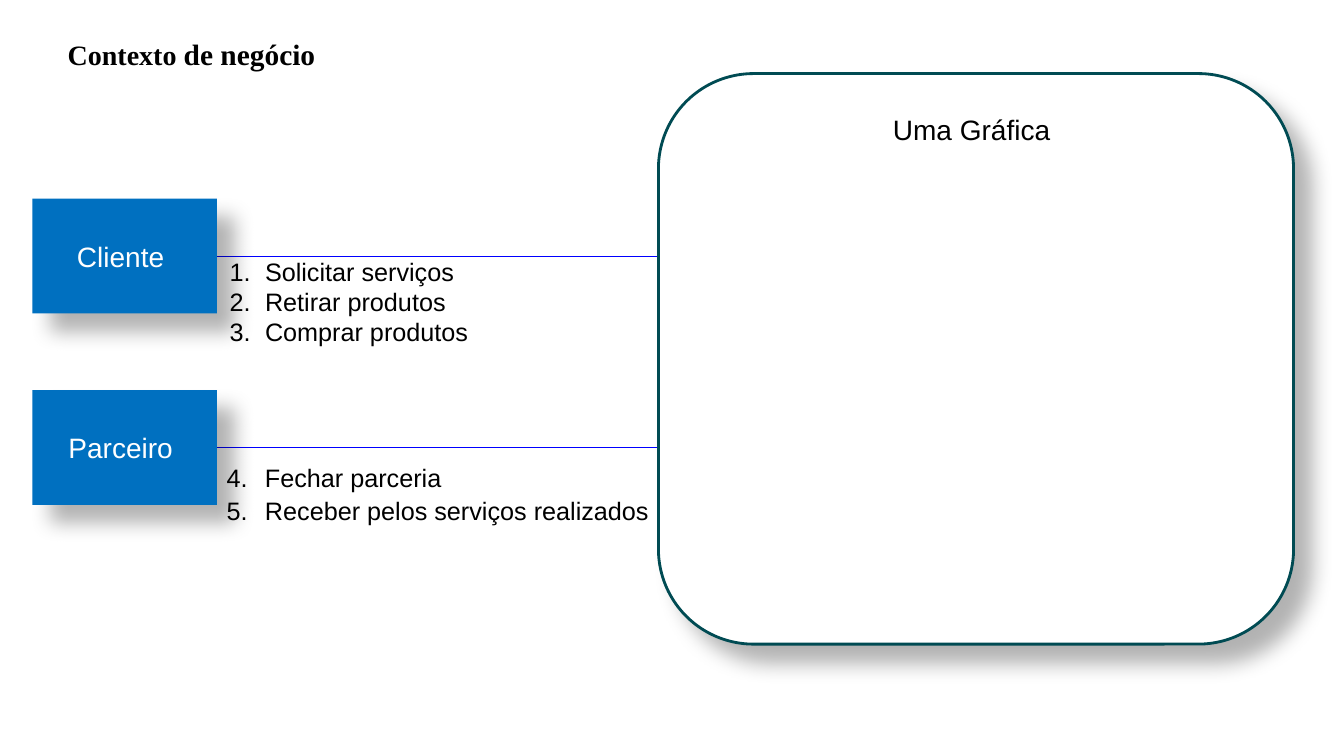
from lxml.etree import SubElement
from pptx import Presentation
from pptx.dml.color import RGBColor
from pptx.enum.shapes import MSO_CONNECTOR as Connector, MSO_SHAPE as Shape
from pptx.enum.text import MSO_ANCHOR as Anchor, MSO_AUTO_SIZE as AutoSize, PP_ALIGN as Align
from pptx.oxml.ns import qn
from pptx.util import Inches, Pt

# Content: places are left, top, width, height in percent of the slide
TITLE = [("Contexto ", 20), ("de negócio", 21)]
TITLE_PLACE = (4.28, 3.47, 21.08, 8.13)
SYSTEM = "Uma Gráfica "
SYSTEM_PLACE = (48.99, 9.73, 47.26, 75.47)
SYSTEM_LABEL_PLACE = (65.49, 14.27, 14.18, 5.87)
ACTORS = [
    dict(name="Cliente ", start=1, place=(15.23, 32.53, 31.13, 13.47),
         margin=0.1, indent=(0.5, -0.35), spacing=1.0,
         uses=["Solicitar serviços", "Retirar produtos", "Comprar produtos"]),
    dict(name="Parceiro ", start=4, place=(16.13, 60.27, 33.08, 9.73),
         margin=0.05, indent=(0.38, -0.38), spacing=1.07,
         uses=["Fechar parceria", "Receber pelos serviços realizados"]),
]
ACTOR_PLACE = (2.4, 26.27, 13.73, 15.2)
ACTOR_PITCH = 25.33
COLORS = dict(text="000000", actor="0070C0", actor_text="FFFFFF", link="0000FF",
              system="FFFFFF", border="004B53", shadow="000000")

deck = Presentation()
deck.slide_width, deck.slide_height = Inches(13.33), Inches(7.5)
slide = deck.slides.add_slide(deck.slide_layouts[5])
shapes = slide.shapes


def color(key):
    return RGBColor.from_string(COLORS[key])


def scaled(place):
    sides = (deck.slide_width, deck.slide_height) * 2
    return [round(share * side / 100) for share, side in zip(place, sides)]


def number(paragraph, start, indent):
    props = paragraph._p.get_or_add_pPr()
    left, hanging = indent
    props.set("marL", str(Inches(left)))
    props.set("indent", str(Inches(hanging)))
    SubElement(props, qn("a:buFont"), typeface="+mj-lt")
    SubElement(props, qn("a:buAutoNum"), type="arabicPeriod", startAt=str(start))


def write(holder, paragraphs, font="Arial", ink="text", bold=False, align=Align.LEFT,
          anchor=Anchor.TOP, margin=0.1, spacing=None, start=None, indent=None):
    """Each paragraph is a list of (text, size) runs."""
    frame = holder.text_frame
    frame.word_wrap = True
    frame.auto_size = AutoSize.NONE
    frame.vertical_anchor = anchor
    frame.margin_left = frame.margin_right = Inches(0.1)
    frame.margin_top = frame.margin_bottom = Inches(margin)
    for i, runs in enumerate(paragraphs):
        paragraph = frame.add_paragraph() if i else frame.paragraphs[0]
        paragraph.alignment = align
        if spacing:
            paragraph.line_spacing = spacing
        if start:
            number(paragraph, start, indent)
        for text, size in runs:
            run = paragraph.add_run()
            run.text = text
            run.font.name, run.font.size, run.font.bold = font, Pt(size), bold
            run.font.color.rgb = color(ink)


def add_box(kind, place, fill, border=None):
    box = shapes.add_shape(kind, *scaled(place))
    box.fill.solid()
    box.fill.fore_color.rgb = color(fill)
    if border:
        box.line.color.rgb = color(border)
        box.line.width = Pt(2)
    else:
        box.line.fill.background()
    box.shadow.inherit = False
    effects = box._element.spPr.find(qn("a:effectLst"))
    shadow = SubElement(effects, qn("a:outerShdw"), blurRad=str(Pt(15)), dist=str(Pt(18)),
                        dir=str(45 * 60000), algn="tl", rotWithShape="0")
    tint = SubElement(shadow, qn("a:srgbClr"), val=COLORS["shadow"])
    SubElement(tint, qn("a:alpha"), val="30000")
    return box


def add_link(x1, x2, y):
    left, top, right, bottom = scaled((x1, y, x2, y))
    link = shapes.add_connector(Connector.STRAIGHT, left, top, right, bottom)
    link.line.color.rgb = color("link")
    link.line.width = Pt(0.75)
    SubElement(link._element.spPr, qn("a:effectLst"))


# Title
title = shapes.title
title.left, title.top, title.width, title.height = scaled(TITLE_PLACE)
write(title, [TITLE], font="Times New Roman", bold=True)

# Actors, each linked to the system, with the uses below the link
left, first_top, width, height = ACTOR_PLACE
for row, actor in enumerate(ACTORS):
    top = first_top + row * ACTOR_PITCH
    add_link(left + width, SYSTEM_PLACE[0], top + height / 2)
    box = add_box(Shape.RECTANGLE, (left, top, width, height), "actor")
    write(box, [[(actor["name"], 20)]], ink="actor_text",
          align=Align.CENTER, anchor=Anchor.MIDDLE)
    uses = shapes.add_textbox(*scaled(actor["place"]))
    write(uses, [[(use, 18)] for use in actor["uses"]], margin=actor["margin"],
          spacing=actor["spacing"], start=actor["start"], indent=actor["indent"])

# System
add_box(Shape.ROUNDED_RECTANGLE, SYSTEM_PLACE, "system", border="border")
system_label = shapes.add_textbox(*scaled(SYSTEM_LABEL_PLACE))
write(system_label, [[(SYSTEM, 20)]], align=Align.CENTER, margin=0.05)

deck.save("out.pptx")
